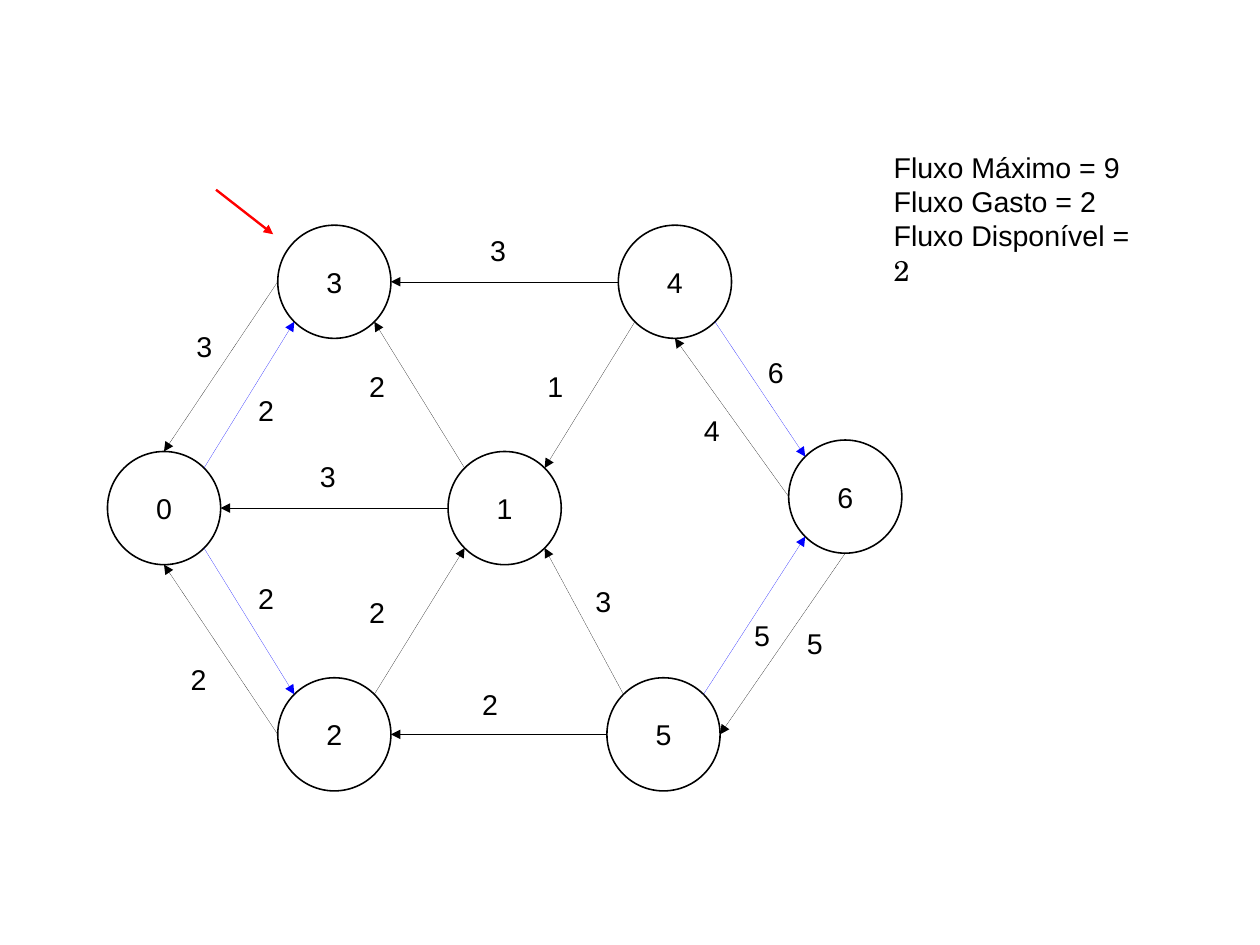
from math import cos, radians, sin

from lxml import etree
from pptx import Presentation
from pptx.dml.color import RGBColor
from pptx.enum.shapes import MSO_CONNECTOR as CONN, MSO_SHAPE as SHAPE
from pptx.enum.text import MSO_ANCHOR as ANCHOR, MSO_AUTO_SIZE as FIT, PP_ALIGN as ALIGN
from pptx.oxml.ns import qn
from pptx.util import Inches, Pt

BLACK = RGBColor(0, 0, 0)
WHITE = RGBColor(255, 255, 255)
BLUE = RGBColor(0, 0, 255)
RED = RGBColor(255, 0, 0)

CM_PER_INCH = 2.54
HAIRLINE = 0.01
DIAMETER = 0.99
COL, ROW = 1.49, 1.98
NODES = {
    "0": (0, ROW),
    "1": (2 * COL, ROW),
    "6": (4 * COL, 1.88),
    "3": (COL, 0),
    "4": (3 * COL, 0),
    "2": (COL, 2 * ROW),
    "5": (4.37, 2 * ROW),
}
ANGLES = {"E": 0, "SE": 45, "S": 90, "SW": 135, "W": 180, "NW": 225, "N": 270, "NE": 315}
EDGES = [
    ("0", "NE", "3", "SW", BLUE, "2", 1.22, 1.42),
    ("0", "SE", "2", "NW", BLUE, "2", 1.22, 3.06),
    ("5", "NE", "6", "SW", BLUE, "5", 5.56, 3.39),
    ("4", "SE", "6", "NW", BLUE, "6", 5.68, 1.09),
    ("2", "NE", "1", "SW", BLACK, "2", 2.19, 3.19),
    ("6", "W", "4", "S", BLACK, "4", 5.12, 1.59),
    ("4", "W", "3", "E", BLACK, "3", 3.25, 0.02),
    ("3", "W", "0", "N", BLACK, "3", 0.68, 0.86),
    ("6", "S", "5", "E", BLACK, "5", 6.02, 3.46),
    ("5", "W", "2", "E", BLACK, "2", 3.18, 3.99),
    ("2", "W", "0", "S", BLACK, "2", 0.63, 3.77),
    ("5", "NW", "1", "SE", BLACK, "3", 4.17, 3.09),
    ("1", "W", "0", "E", BLACK, "3", 1.76, 2.0),
    ("4", "SW", "1", "NE", BLACK, "1", 3.75, 1.21),
    ("1", "NW", "3", "SE", BLACK, "2", 2.19, 1.21),
]


def style_run(r, font="Arial"):
    r.font.name = font
    r.font.size = Pt(18)
    r.font.color.rgb = BLACK


def add_text(s, x, y, w, h, text):
    tf = s.shapes.add_textbox(Inches(x), Inches(y), Inches(w), Inches(h)).text_frame
    tf.word_wrap = True
    tf.auto_size = FIT.SHAPE_TO_FIT_TEXT
    tf.text = text
    for p in tf.paragraphs:
        for r in p.runs:
            style_run(r)
    return tf


def add_arrow(s, start, end, color, width):
    points = [Inches(v) for v in (*start, *end)]
    arrow = s.shapes.add_connector(CONN.STRAIGHT, *points)
    arrow.line.color.rgb = color
    arrow.line.width = Pt(width)
    etree.SubElement(arrow.line._get_or_add_ln(), qn("a:tailEnd"), type="triangle")
    etree.SubElement(arrow._element.spPr, qn("a:effectLst"))


def add_node(s, x, y, name):
    sp = s.shapes.add_shape(SHAPE.OVAL, Inches(x), Inches(y), Inches(DIAMETER), Inches(DIAMETER))
    sp.shadow.inherit = False
    sp.fill.solid()
    sp.fill.fore_color.rgb = WHITE
    sp.line.color.rgb = BLACK
    sp.line.width = Pt(1)
    tf = sp.text_frame
    tf.word_wrap = False
    tf.vertical_anchor = ANCHOR.MIDDLE
    tf.text = name
    p = tf.paragraphs[0]
    p.alignment = ALIGN.CENTER
    style_run(p.runs[0])


def add_graph(s, left, top):
    def rim(name, side):
        x, y = NODES[name]
        radius, angle = DIAMETER / 2, radians(ANGLES[side])
        return left + x + radius * (1 + cos(angle)), top + y + radius * (1 + sin(angle))

    for name, (x, y) in NODES.items():
        add_node(s, left + x, top + y, name)
    for source, leave, target, enter, color, flow, x, y in EDGES:
        add_arrow(s, rim(source, leave), rim(target, enter), color, HAIRLINE)
        add_text(s, left + x, top + y, 0.42, 0.48, flow)

    x, y = left + NODES["3"][0], top + NODES["3"][1]
    add_arrow(s, (x - 0.54, y - 0.31), (x - 0.04, y + 0.08), RED, 1.5)


def add_summary(s, left, top, width, height):
    lines = ["Fluxo Máximo = 9", "Fluxo Gasto = 2", "Fluxo Disponível = "]
    tf = add_text(s, left, top, width, height, "\n".join(lines))
    r = tf.paragraphs[-1].add_run()
    r.text = "2"
    style_run(r, "TeX Gyre Schola")


def main():
    prs = Presentation()
    prs.slide_width = Inches(28 / CM_PER_INCH)
    prs.slide_height = Inches(21 / CM_PER_INCH)
    s = prs.slides.add_slide(prs.slide_layouts[6])
    add_graph(s, 0.94, 1.97)
    add_summary(s, 7.72, 1.26, 2.4, 1.29)
    prs.save("out.pptx")


if __name__ == "__main__":
    main()
